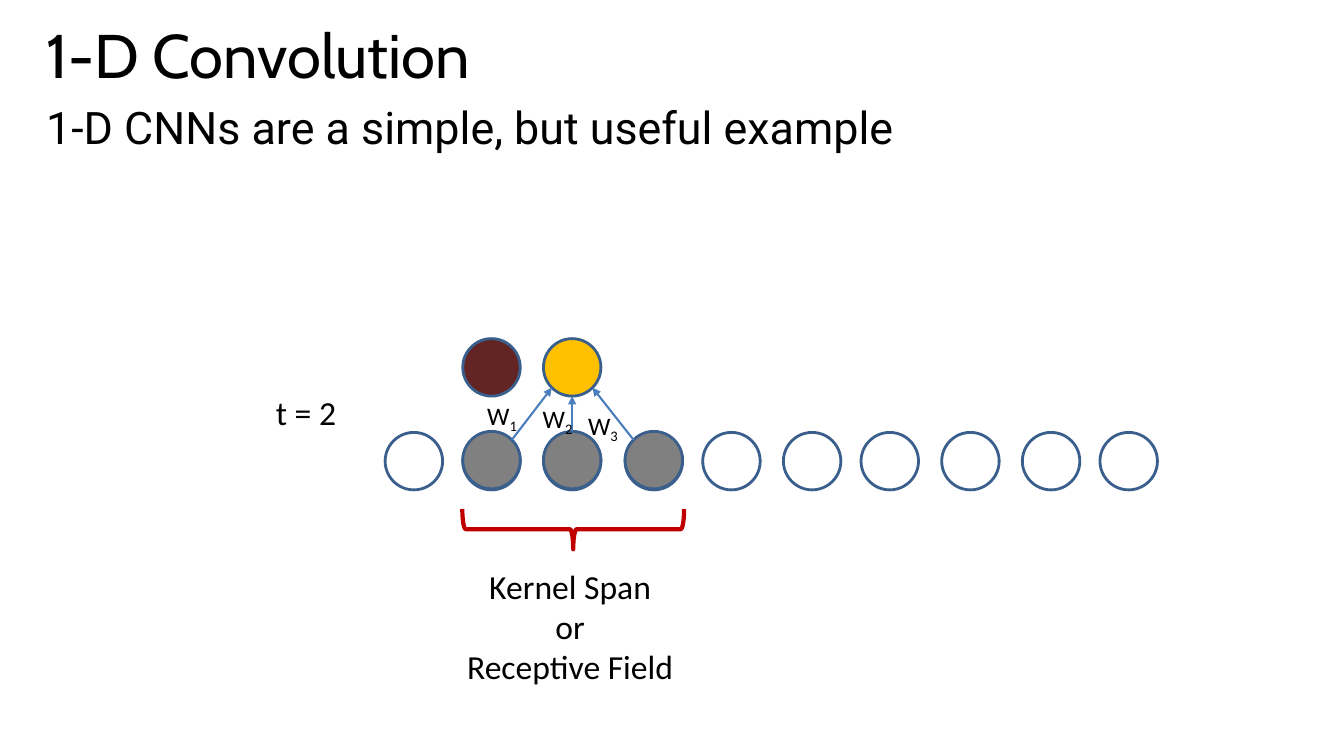
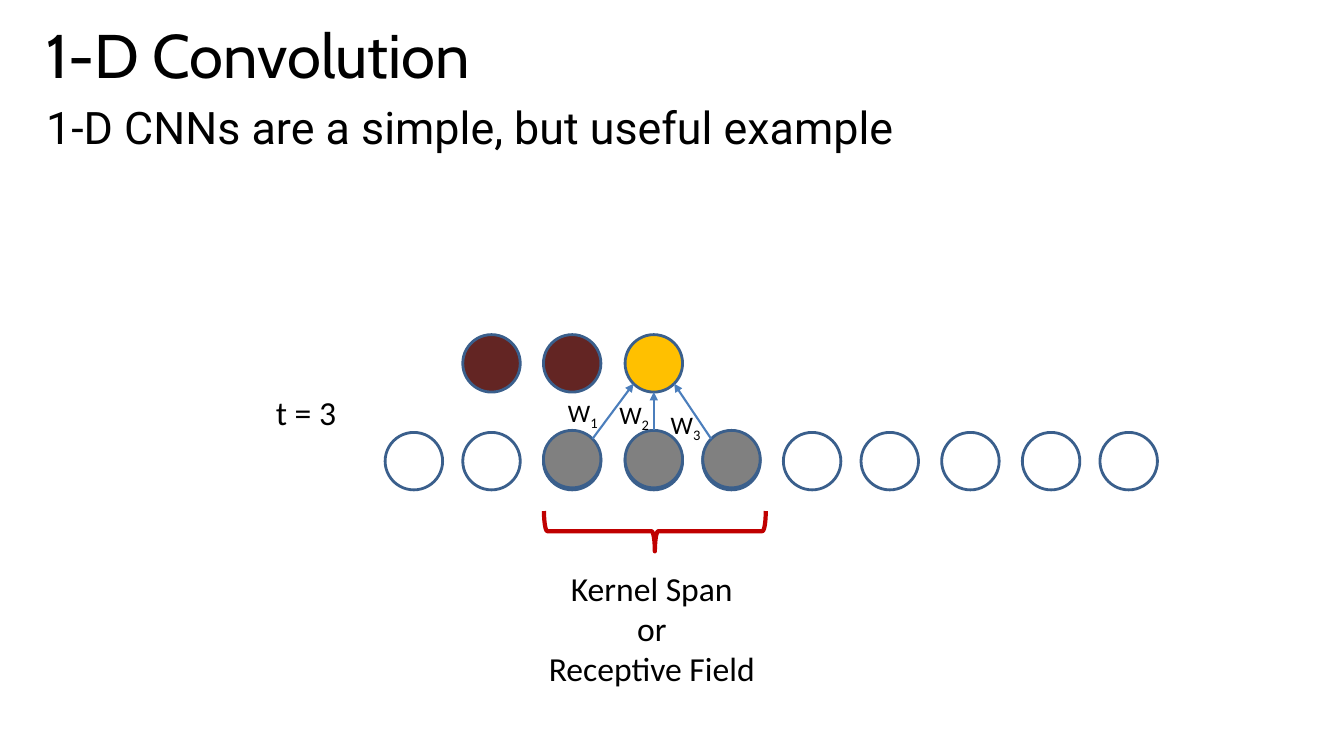
from dataclasses import dataclass
from math import sqrt

from lxml.etree import SubElement
from pptx import Presentation
from pptx.dml.color import RGBColor
from pptx.enum.shapes import MSO_CONNECTOR, MSO_SHAPE
from pptx.enum.text import MSO_ANCHOR, PP_ALIGN
from pptx.oxml.ns import qn
from pptx.util import Inches, Pt

# Shared style
BLACK, OUTLINE, ARROW, BRACE = "000000", "3A5F8C", "4B7EBC", "C00000"
DONE, CURRENT, COVERED = "632523", "FFC000", "808080"

# Shared grid: left edge of each circle column, row of inputs
COLUMNS = (3.82, 4.59, 5.39, 6.2, 6.97, 7.77, 8.54, 9.34, 10.14, 10.91)
INPUT_TOP = 4.29
DIAMETER = 0.57
RADIUS = DIAMETER / 2
DIAGONAL = RADIUS / sqrt(2)
KERNEL_SIZE = 3


@dataclass(frozen=True)
class Box:
    left: float
    top: float
    width: float
    height: float

    def emu(self) -> tuple:
        return tuple(Inches(v) for v in (self.left, self.top, self.width, self.height))


@dataclass(frozen=True)
class TextStyle:
    size: float
    font: str = "Calibri"
    align: PP_ALIGN = PP_ALIGN.CENTER
    anchor: MSO_ANCHOR = MSO_ANCHOR.TOP
    side_inset: float = 0
    line_spacing: float = 1.0


@dataclass(frozen=True)
class Step:
    """One position of the kernel along the inputs."""
    time: int
    output_top: float
    covered_top: float
    span_middle: float
    weight_places: tuple  # offset from the first covered column, top


TITLE = TextStyle(44, "Cabin", PP_ALIGN.LEFT, MSO_ANCHOR.MIDDLE, 0.1, 0.8)
SUBTITLE = TextStyle(32, "Roboto", PP_ALIGN.LEFT, MSO_ANCHOR.MIDDLE, 0.1)
LABEL = TextStyle(24)
WEIGHT = TextStyle(18)

STEPS = (
    Step(2, 3.36, 4.28, 5.25, ((0.13, 3.92), (0.68, 3.95), (1.13, 4.02))),
    Step(3, 3.32, 4.27, 5.27, ((0.13, 3.89), (0.64, 3.91), (1.15, 4.01))),
)


def color(hex_code: str) -> RGBColor:
    return RGBColor.from_string(hex_code)


def add_text(slide, box: Box, text: str, style: TextStyle, subscript: str = "") -> None:
    frame = slide.shapes.add_textbox(*box.emu()).text_frame
    frame.word_wrap = True
    frame.vertical_anchor = style.anchor
    frame.margin_left = frame.margin_right = Inches(style.side_inset)
    frame.text = text
    if subscript:
        lowered = frame.paragraphs[0].add_run()
        lowered.text = subscript
        lowered._r.get_or_add_rPr().set("baseline", "-25000")
    for paragraph in frame.paragraphs:
        paragraph.alignment = style.align
        paragraph.line_spacing = style.line_spacing
        for run in paragraph.runs:
            run.font.size = Pt(style.size)
            run.font.name = style.font
            run.font.color.rgb = color(BLACK)


def add_outlined(slide, preset: MSO_SHAPE, box: Box, line: str, width: float, fill: str = ""):
    shape = slide.shapes.add_shape(preset, *box.emu())
    shape.shadow.inherit = False
    shape.line.color.rgb = color(line)
    shape.line.width = Pt(width)
    if fill:
        shape.fill.solid()
        shape.fill.fore_color.rgb = color(fill)
    else:
        shape.fill.background()
    return shape


def add_neuron(slide, column: int, top: float, fill: str = "") -> None:
    box = Box(COLUMNS[column], top, DIAMETER, DIAMETER)
    add_outlined(slide, MSO_SHAPE.OVAL, box, OUTLINE, 2, fill)


def add_arrow(slide, start: tuple[float, float], end: tuple[float, float]) -> None:
    arrow = slide.shapes.add_connector(
        MSO_CONNECTOR.STRAIGHT, *(Inches(v) for v in (*start, *end)))
    arrow.line.color.rgb = color(ARROW)
    arrow.line.width = Pt(1.5)
    SubElement(arrow.line._get_or_add_ln(), qn("a:tailEnd"), type="triangle")
    SubElement(arrow._element.spPr, qn("a:effectLst"))


def rim_point(column: int, top: float, side: int, vertical: int) -> tuple[float, float]:
    """Point on a circle's rim; side and vertical are -1, 0 or 1."""
    reach = DIAGONAL if side else RADIUS
    return COLUMNS[column] + RADIUS + side * reach, top + RADIUS + vertical * reach


def add_step(slide, step: Step) -> None:
    current = step.time
    first = current - 1
    middle = COLUMNS[current] + RADIUS

    # Heading
    add_text(slide, Box(0.36, 0.89, 12.6, 0.74),
             "1-D CNNs are a simple, but useful example", SUBTITLE)
    add_text(slide, Box(0.36, 0.23, 12.74, 0.74), "1-D Convolution", TITLE)

    # Inputs and time label
    for column in range(len(COLUMNS)):
        add_neuron(slide, column, INPUT_TOP)
    add_text(slide, Box(2.55, 3.84, 0.97, 0.5), f"t = {step.time}", LABEL)

    # Kernel span: an upright brace turned a quarter about its centre
    depth, span = 0.4, 2.2
    brace = add_outlined(
        slide, MSO_SHAPE.RIGHT_BRACE,
        Box(middle + 0.01 - depth / 2, step.span_middle - span / 2, depth, span), BRACE, 3)
    brace.rotation = 90
    add_text(slide, Box(middle - 1.17, step.span_middle + 0.31, 2.3, 1.31),
             "Kernel Span\nor\nReceptive Field", LABEL)

    # Outputs so far, then the covered inputs
    for column in range(1, current + 1):
        add_neuron(slide, column, step.output_top, CURRENT if column == current else DONE)
    for column in range(first, first + KERNEL_SIZE):
        add_neuron(slide, column, step.covered_top, COVERED)

    # Weighted connections
    for index, (offset, top) in enumerate(step.weight_places):
        side = index - 1
        add_arrow(slide, rim_point(first + index, step.covered_top, -side, -1),
                  rim_point(current, step.output_top, side, 1))
        add_text(slide, Box(COLUMNS[first] + offset, top, 0.52, 0.4),
                 "W", WEIGHT, str(index + 1))


def main() -> None:
    deck = Presentation()
    deck.slide_width, deck.slide_height = Inches(13.33), Inches(7.5)
    for step in STEPS:
        add_step(deck.slides.add_slide(deck.slide_layouts[6]), step)
    deck.save("out.pptx")


if __name__ == "__main__":
    main()
